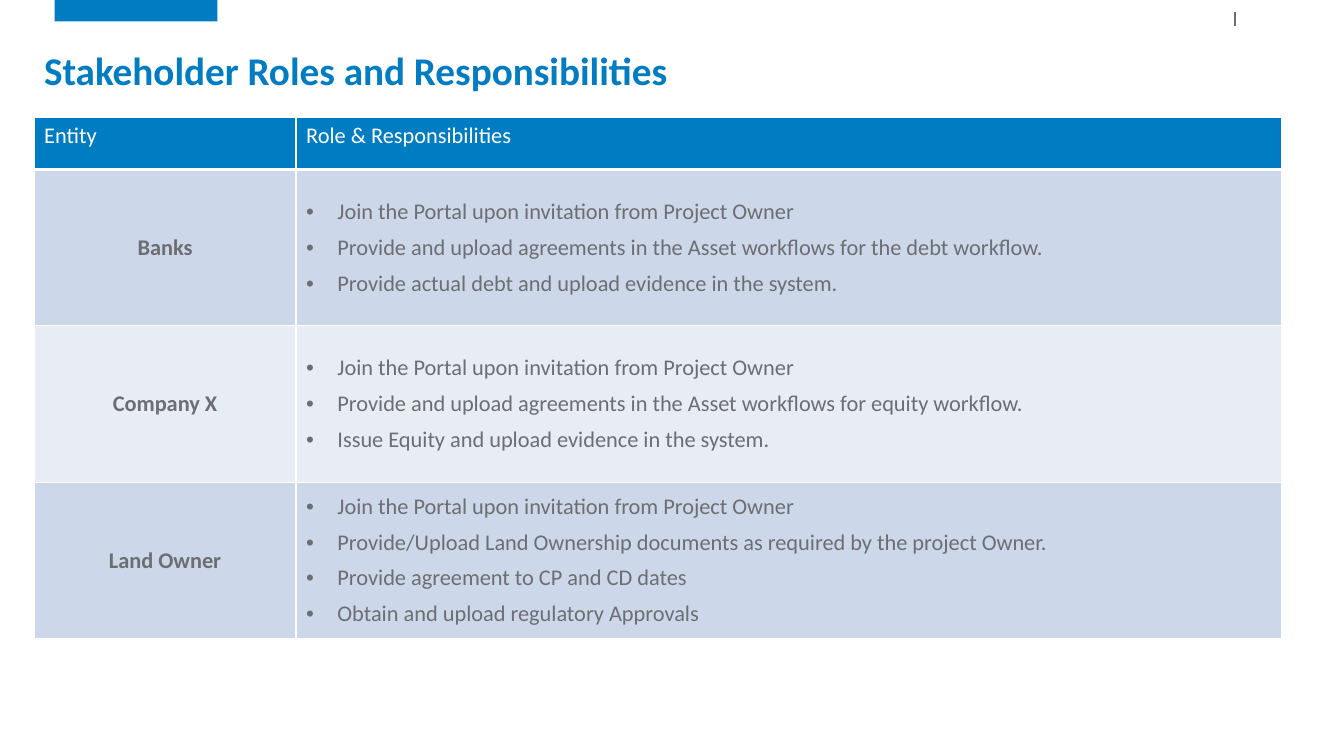
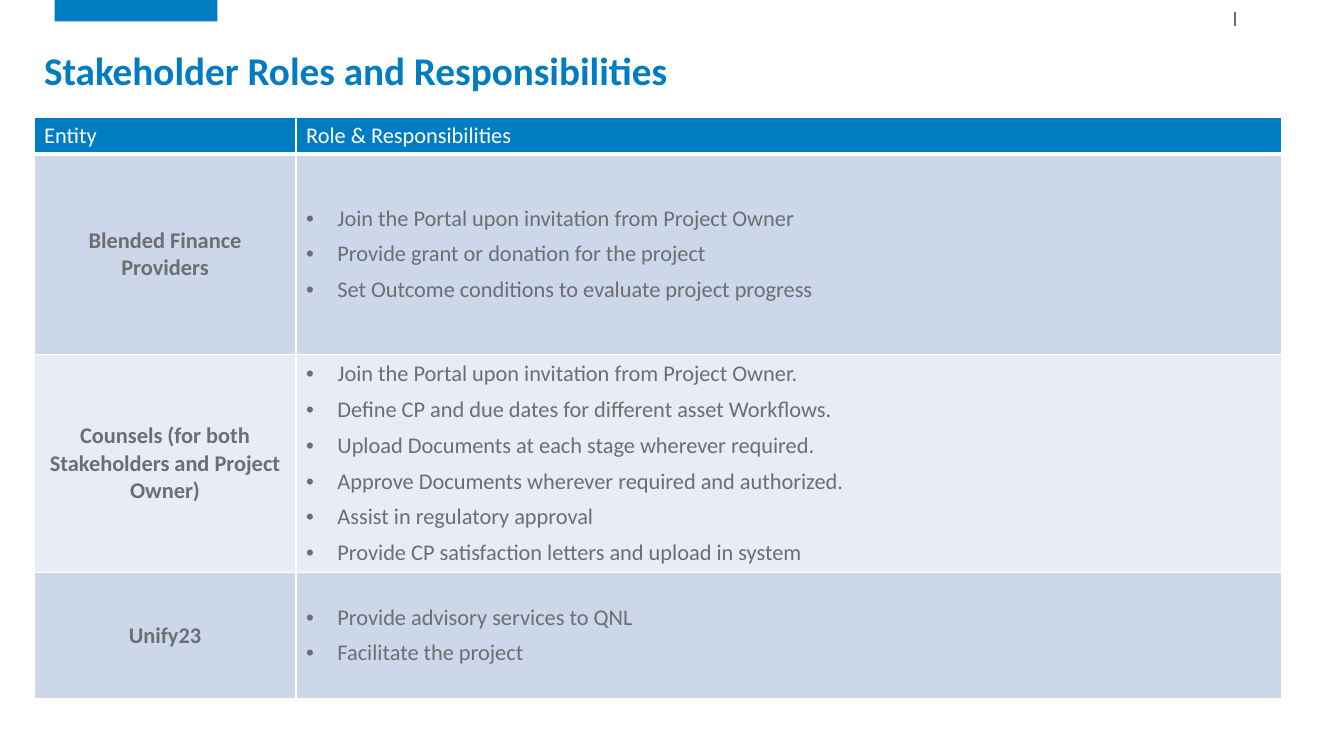
from lxml.etree import SubElement
from pptx import Presentation
from pptx.dml.color import RGBColor
from pptx.enum.shapes import MSO_CONNECTOR, MSO_SHAPE
from pptx.enum.text import MSO_ANCHOR, PP_ALIGN
from pptx.oxml.ns import qn
from pptx.util import Cm, Pt

# Shared style
BLUE, GRAY, WHITE = "007CC3", "6D6E71", "FFFFFF"
ROW_FILLS = ("CCD7E9", "E7ECF5")
FONT = "Calibri"
TITLE = "Stakeholder Roles and Responsibilities"
HEADERS = ("Entity", "Role & Responsibilities")
COLUMN_WIDTHS = (6.6, 24.84)


def color(hex_string):
    return RGBColor.from_string(hex_string)


class Deck:
    def __init__(self):
        self.presentation = Presentation()
        self.presentation.slide_width = Cm(33.87)
        self.presentation.slide_height = Cm(19.05)
        self.slide = None

    def new_slide(self):
        layout = self.presentation.slide_layouts[6]
        self.slide = self.presentation.slides.add_slide(layout)
        self.band(1.38, 0, 4.1, 0.54)
        self.tick(31.12, 0.3, 0.66)
        self.title(TITLE)

    def band(self, left, top, width, height):
        shape = self.slide.shapes.add_shape(
            MSO_SHAPE.RECTANGLE, Cm(left), Cm(top), Cm(width), Cm(height))
        shape.shadow.inherit = False
        shape.fill.solid()
        shape.fill.fore_color.rgb = color(BLUE)
        shape.line.fill.background()

    def tick(self, left, top, bottom):
        line = self.slide.shapes.add_connector(
            MSO_CONNECTOR.STRAIGHT, Cm(left), Cm(top), Cm(left), Cm(bottom))
        line.line.color.rgb = color(GRAY)
        line.line.width = Pt(1)
        SubElement(line.line._get_or_add_ln().getparent(), qn("a:effectLst"))

    def title(self, text):
        shape = self.slide.shapes.add_textbox(Cm(0.86), Cm(0.53), Cm(32.16), Cm(1.96))
        text_frame = shape.text_frame
        text_frame.word_wrap = True
        text_frame.vertical_anchor = MSO_ANCHOR.BOTTOM
        text_frame.text = text
        text_frame.paragraphs[0].line_spacing = 0.9
        self.format_text(text_frame, 28, BLUE, True)

    def format_text(self, text_frame, size, hex_string, bold=False):
        for paragraph in text_frame.paragraphs:
            for run in paragraph.runs:
                run.font.name = FONT
                run.font.size = Pt(size)
                run.font.bold = bold
                run.font.color.rgb = color(hex_string)

    def bullets(self, text_frame):
        for paragraph in text_frame.paragraphs:
            paragraph.space_before = Pt(6)
            properties = paragraph._p.get_or_add_pPr()
            properties.set("marL", str(Cm(0.79)))
            properties.set("indent", str(-Cm(0.79)))
            SubElement(properties, qn("a:buFont"), typeface="Arial")
            SubElement(properties, qn("a:buChar"), char="•")

    def borders(self, cell, bottom_width):
        properties = cell._tc.get_or_add_tcPr()
        for side, width in zip("LRTB", (1, 1, 1, bottom_width)):
            line = SubElement(properties, qn(f"a:ln{side}"), w=str(Pt(width)))
            fill = SubElement(line, qn("a:solidFill"))
            SubElement(fill, qn("a:srgbClr"), val=WHITE)

    def cell(self, cell, text, fill, text_color, bold=False, bottom_width=1):
        cell.text_frame.text = text
        self.format_text(cell.text_frame, 16, text_color, bold)
        self.borders(cell, bottom_width)
        cell.fill.solid()
        cell.fill.fore_color.rgb = color(fill)

    def role_table(self, row_heights, entities):
        frame = self.slide.shapes.add_table(
            len(row_heights), len(HEADERS), Cm(0.86), Cm(2.95),
            Cm(sum(COLUMN_WIDTHS)), Cm(sum(row_heights)))
        table = frame.table
        for column, width in zip(table.columns, COLUMN_WIDTHS):
            column.width = Cm(width)
        for row, height in zip(table.rows, row_heights):
            row.height = Cm(height)

        # Header row
        for index, header in enumerate(HEADERS):
            self.cell(table.cell(0, index), header, BLUE, WHITE, bottom_width=3)

        # One row for each entity
        for index, (entity, roles) in enumerate(entities.items(), start=1):
            fill = ROW_FILLS[(index - 1) % 2]
            name_cell, role_cell = table.cell(index, 0), table.cell(index, 1)
            self.cell(name_cell, entity, fill, GRAY, bold=True)
            self.cell(role_cell, "\n".join(roles), fill, GRAY)
            name_cell.text_frame.paragraphs[0].alignment = PP_ALIGN.CENTER
            self.bullets(role_cell.text_frame)
            name_cell.vertical_anchor = MSO_ANCHOR.MIDDLE
            role_cell.vertical_anchor = MSO_ANCHOR.MIDDLE


JOIN = "Join the Portal upon invitation from Project Owner"
deck = Deck()

# Slide 1: funders and land owner
deck.new_slide()
deck.role_table((1.32, 3.94, 3.94, 3.94), {
    "Banks": (
        JOIN,
        "Provide and upload agreements in the Asset workflows for the debt workflow.",
        "Provide actual debt and upload evidence in the system.",
    ),
    "Company X": (
        JOIN,
        "Provide and upload agreements in the Asset workflows for equity workflow.",
        "Issue Equity and upload evidence in the system.",
    ),
    "Land Owner": (
        JOIN,
        "Provide/Upload Land Ownership documents as required by the project Owner.",
        "Provide agreement to CP and CD dates",
        "Obtain and upload regulatory Approvals",
    ),
})

# Slide 2: blended finance, counsels and adviser
deck.new_slide()
deck.role_table((0.9, 5.05, 5.5, 3.16), {
    "Blended Finance Providers": (
        JOIN,
        "Provide grant or donation for the project",
        "Set Outcome conditions to evaluate project progress",
    ),
    "Counsels (for both Stakeholders and Project Owner)": (
        JOIN + ".",
        "Define CP and due dates for different asset Workflows.",
        "Upload Documents at each stage wherever required.",
        "Approve Documents wherever required and authorized.",
        "Assist in regulatory approval",
        "Provide CP satisfaction letters and upload in system",
    ),
    "Unify23": (
        "Provide advisory services to QNL",
        "Facilitate the project",
    ),
})

deck.presentation.save("out.pptx")
